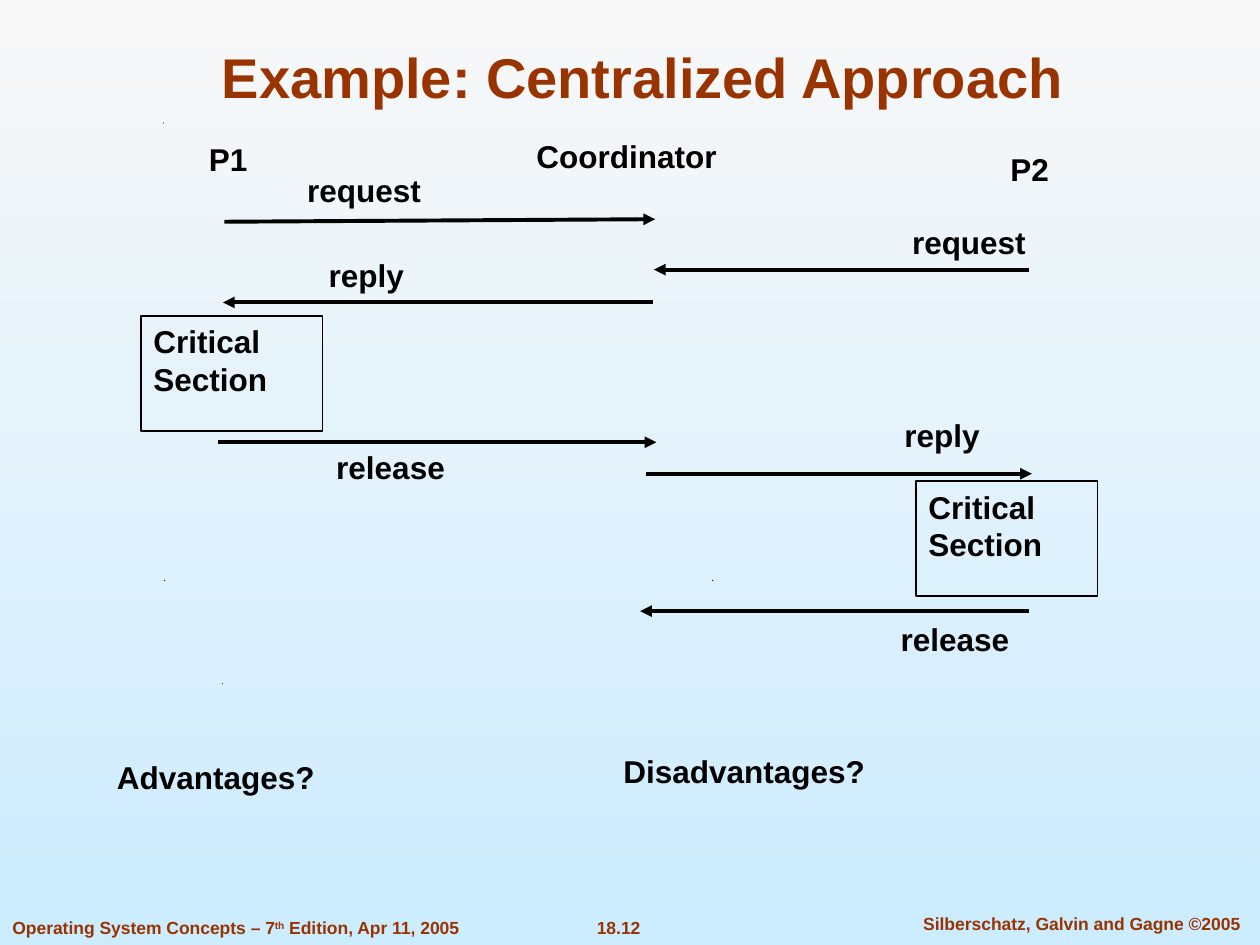
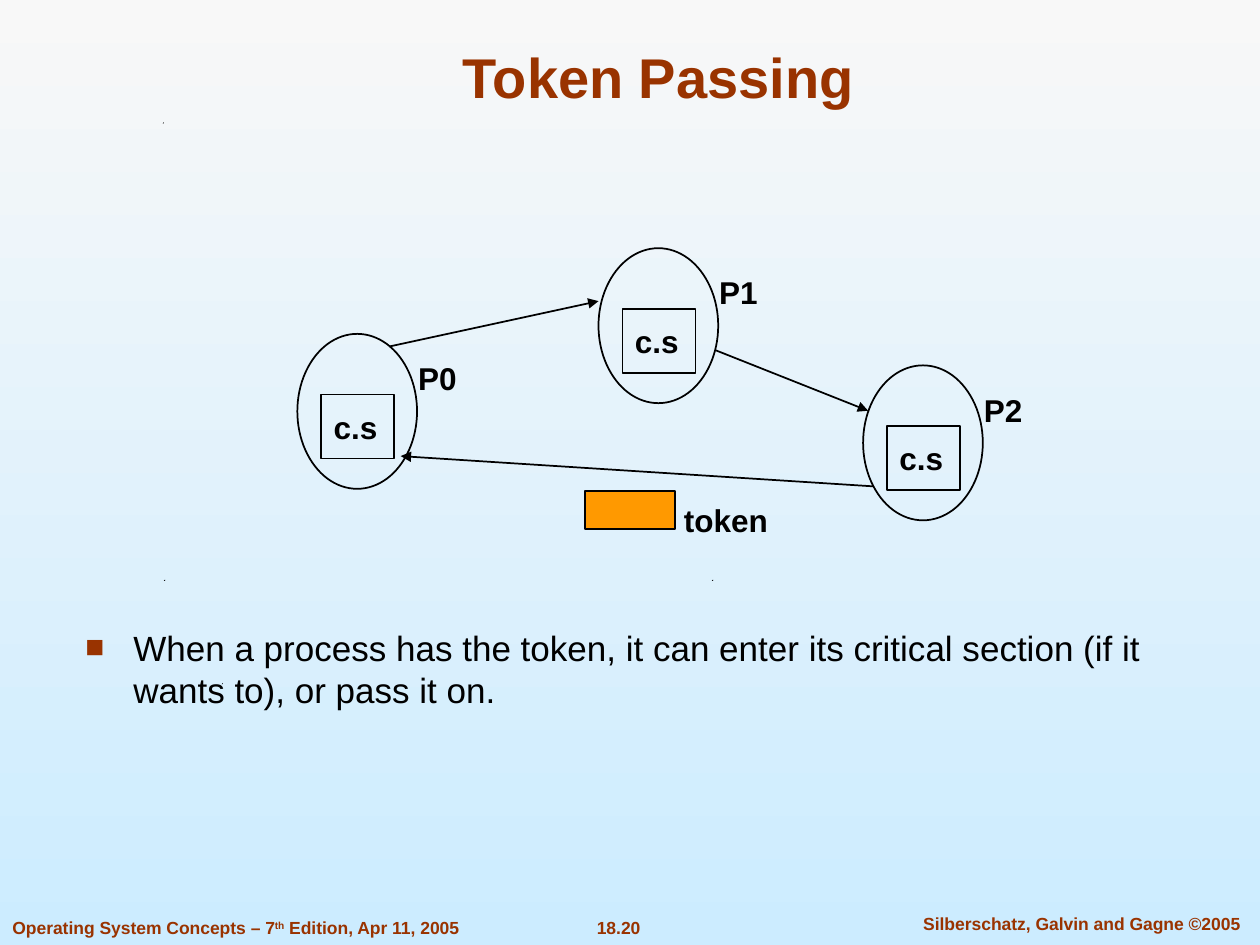
"""Build two slides on distributed mutual exclusion: centralized and token passing."""
from lxml import etree
from pptx import Presentation
from pptx.dml.color import RGBColor
from pptx.enum.shapes import MSO_CONNECTOR, MSO_SHAPE
from pptx.enum.text import MSO_ANCHOR, MSO_AUTO_SIZE, PP_ALIGN
from pptx.oxml.ns import qn
from pptx.util import Inches, Pt

RECT, OVAL = MSO_SHAPE.RECTANGLE, MSO_SHAPE.OVAL
STRAIGHT = MSO_CONNECTOR.STRAIGHT
TOP, MIDDLE, BOTTOM = MSO_ANCHOR.TOP, MSO_ANCHOR.MIDDLE, MSO_ANCHOR.BOTTOM
LEFT, CENTER = PP_ALIGN.LEFT, PP_ALIGN.CENTER
GROW, FIXED = MSO_AUTO_SIZE.SHAPE_TO_FIT_TEXT, MSO_AUTO_SIZE.NONE

FONT = "Arial"
COLORS = {
    "sky_top": "F8F8F8",
    "sky_bottom": "CCECFF",
    "accent": "993300",
    "ink": "000000",
    "token": "FF9900",
}
SPECKS = [(1.76, 5.42), (1.3, 4.6), (5.65, 4.6), (1.29, 0.97)]
SPECK_SIZE = 0.01


def rgb(name):
    """Return the named palette colour."""
    return RGBColor.from_string(COLORS[name])


def inches(*values):
    """Convert several numbers to lengths."""
    return [Inches(v) for v in values]


def add_run(p, text, size=18, color="ink", bold=True, baseline=None):
    """Add one formatted run to a paragraph."""
    r = p.add_run()
    r.text = text
    r.font.name = FONT
    r.font.size = Pt(size)
    r.font.bold = bold
    r.font.color.rgb = rgb(color)
    if baseline:
        r._r.get_or_add_rPr().set("baseline", str(baseline * 1000))


def set_frame(tf, wrap=True, anchor=TOP, align=LEFT, fit=GROW):
    """Set the text frame's layout and return its first paragraph."""
    tf.word_wrap = wrap
    tf.auto_size = fit
    tf.vertical_anchor = anchor
    p = tf.paragraphs[0]
    p.alignment = align
    return p


def add_text(s, x, y, w, h=0.5, **frame):
    """Add a text box and return its empty paragraph."""
    sp = s.shapes.add_textbox(*inches(x, y, w, h))
    return set_frame(sp.text_frame, **frame)


def add_label(s, text, x, y, w, **frame):
    """Add a bold diagram label."""
    add_run(add_text(s, x, y, w, **frame), text)


def add_outline(s, kind, x, y, w, h, fill=None):
    """Add a thinly outlined shape, hollow unless a fill is named."""
    sp = s.shapes.add_shape(kind, *inches(x, y, w, h))
    sp.shadow.inherit = False
    sp.line.color.rgb = rgb("ink")
    sp.line.width = Pt(1)
    if fill:
        sp.fill.solid()
        sp.fill.fore_color.rgb = rgb(fill)
    else:
        sp.fill.background()
    return sp


def add_box(s, text, x, y, w, h, **frame):
    """Add an outlined rectangle with bold text."""
    sp = add_outline(s, RECT, x, y, w, h)
    add_run(set_frame(sp.text_frame, **frame), text)


def add_arrow(s, start, end, width):
    """Add a straight line with an arrowhead at its end."""
    c = s.shapes.add_connector(STRAIGHT, *inches(*start, *end))
    c.line.color.rgb = rgb("ink")
    c.line.width = Pt(width)
    etree.SubElement(c.line._get_or_add_ln(), qn("a:tailEnd"), type="triangle")
    etree.SubElement(c._element.spPr, qn("a:effectLst"))


def add_speck(s, x, y):
    """Add a tiny black triangle."""
    fb = s.shapes.build_freeform(*inches(x, y + SPECK_SIZE))
    fb.add_line_segments([inches(x + SPECK_SIZE, y),
                          inches(x + SPECK_SIZE, y + SPECK_SIZE)])
    sp = fb.convert_to_shape()
    sp.shadow.inherit = False
    sp.fill.solid()
    sp.fill.fore_color.rgb = rgb("ink")
    sp.line.fill.background()


def add_bullet(s, text, x, y, w, h):
    """Add a paragraph with a coloured square bullet."""
    p = add_text(s, x, y, w, h, fit=FIXED)
    pPr = p._p.get_or_add_pPr()
    indent = Inches(0.38)
    pPr.set("marL", str(indent))
    pPr.set("indent", str(-indent))
    clr = etree.SubElement(pPr, qn("a:buClr"))
    etree.SubElement(clr, qn("a:srgbClr"), val=COLORS["accent"])
    etree.SubElement(pPr, qn("a:buSzPct"), val="90000")
    etree.SubElement(pPr, qn("a:buFont"), typeface=FONT)
    etree.SubElement(pPr, qn("a:buChar"), char="■")
    add_run(p, text, size=20, bold=False)


def add_footer(s, number):
    """Add the edition, slide number and authors."""
    style = {"size": 10, "color": "accent"}
    p = add_text(s, 4.63, 7.23, 0.56, 0.27, wrap=False, align=CENTER)
    add_run(p, number, **style)
    p = add_text(s, 7.1, 7.2, 2.97, 0.27, align=CENTER)
    add_run(p, "Silberschatz, Galvin and Gagne ©2005", **style)
    p = add_text(s, 0, 7.23, 3.77, 0.27, wrap=False)
    add_run(p, "Operating System Concepts – 7", **style)
    add_run(p, "th", baseline=30, **style)
    add_run(p, " Edition, Apr 11, 2005", **style)


def set_background(master):
    """Give every slide the vertical sky gradient."""
    fill = master.background.fill
    fill.gradient()
    fill.gradient_angle = 270
    for stop, name in zip(fill.gradient_stops, ("sky_top", "sky_bottom")):
        stop.color.rgb = rgb(name)


def add_slide(prs, title, number):
    """Add a title-only slide with the shared title, specks and footer."""
    s = prs.slides.add_slide(prs.slide_layouts[5])
    sp = s.shapes.title
    sp.left, sp.top, sp.width, sp.height = inches(0.75, 0.25, 8.83, 0.67)
    p = set_frame(sp.text_frame, anchor=BOTTOM, align=CENTER, fit=FIXED)
    add_run(p, title, size=32, color="accent")
    for x, y in SPECKS:
        add_speck(s, x, y)
    add_footer(s, number)
    return s


def add_message(s, text, x, y, w, start, end):
    """Add a message arrow with its label."""
    add_arrow(s, start, end, 2.25)
    add_label(s, text, x, y, w, wrap=False)


def add_process(s, name, x, y):
    """Add a process oval holding its critical section, with its name."""
    add_outline(s, OVAL, x, y, 0.95, 1.23)
    add_box(s, "c.s", x + 0.19, y + 0.48, 0.58, 0.51, wrap=False, anchor=MIDDLE)
    add_label(s, name, x + 0.86, y + 0.1, 0.55, wrap=False, anchor=MIDDLE)


def build_centralized(prs):
    """Build the coordinator message sequence."""
    s = add_slide(prs, "Example: Centralized Approach ", "18.12")
    for text, x, y, w in [
        ("P1", 1.56, 1.06, 1.1),
        ("P2", 7.92, 1.14, 1.1),
        ("Coordinator", 4.16, 1.04, 2.1),
        ("Advantages?", 0.83, 5.97, 3.74),
        ("Disadvantages?", 4.85, 5.92, 3.74),
    ]:
        add_label(s, text, x, y, w)
    for x, y in [(1.12, 2.51), (7.27, 3.82)]:
        add_box(s, "Critical Section", x, y, 1.44, 0.91)
    for message in [
        ("request", 2.34, 1.31, 1.16, (1.78, 1.76), (5.2, 1.74)),
        ("request", 7.14, 1.72, 1.16, (8.17, 2.14), (5.19, 2.14)),
        ("reply", 2.51, 1.98, 0.89, (5.18, 2.4), (1.77, 2.4)),
        ("release", 2.57, 3.51, 1.12, (1.73, 3.51), (5.21, 3.51)),
        ("reply", 7.08, 3.25, 0.89, (5.13, 3.76), (8.19, 3.76)),
        ("release", 7.05, 4.87, 1.12, (8.17, 4.85), (5.08, 4.85)),
    ]:
        add_message(s, *message)


def build_token_passing(prs):
    """Build the ring of processes passing a token."""
    s = add_slide(prs, " Token Passing", "18.20")
    add_bullet(s, "When a process has the token, it can enter its critical section "
                  "(if it wants to), or pass it on.", 0.58, 4.92, 8.84, 1.94)
    for name, x, y in [("P0", 2.36, 2.65), ("P1", 4.75, 1.97), ("P2", 6.85, 2.9)]:
        add_process(s, name, x, y)
    for start, end in [
        ((3.09, 2.75), (4.75, 2.39)),
        ((5.68, 2.78), (6.89, 3.26)),
        ((6.93, 3.86), (3.18, 3.62)),
    ]:
        add_arrow(s, start, end, 1)
    add_outline(s, RECT, 4.64, 3.9, 0.72, 0.3, fill="token")
    add_label(s, "token", 5.33, 3.88, 0.94, wrap=False, anchor=MIDDLE)


def main():
    """Build and save the presentation."""
    prs = Presentation()
    prs.slide_width, prs.slide_height = inches(10, 7.5)
    set_background(prs.slide_master)
    build_centralized(prs)
    build_token_passing(prs)
    prs.save("out.pptx")


if __name__ == "__main__":
    main()
